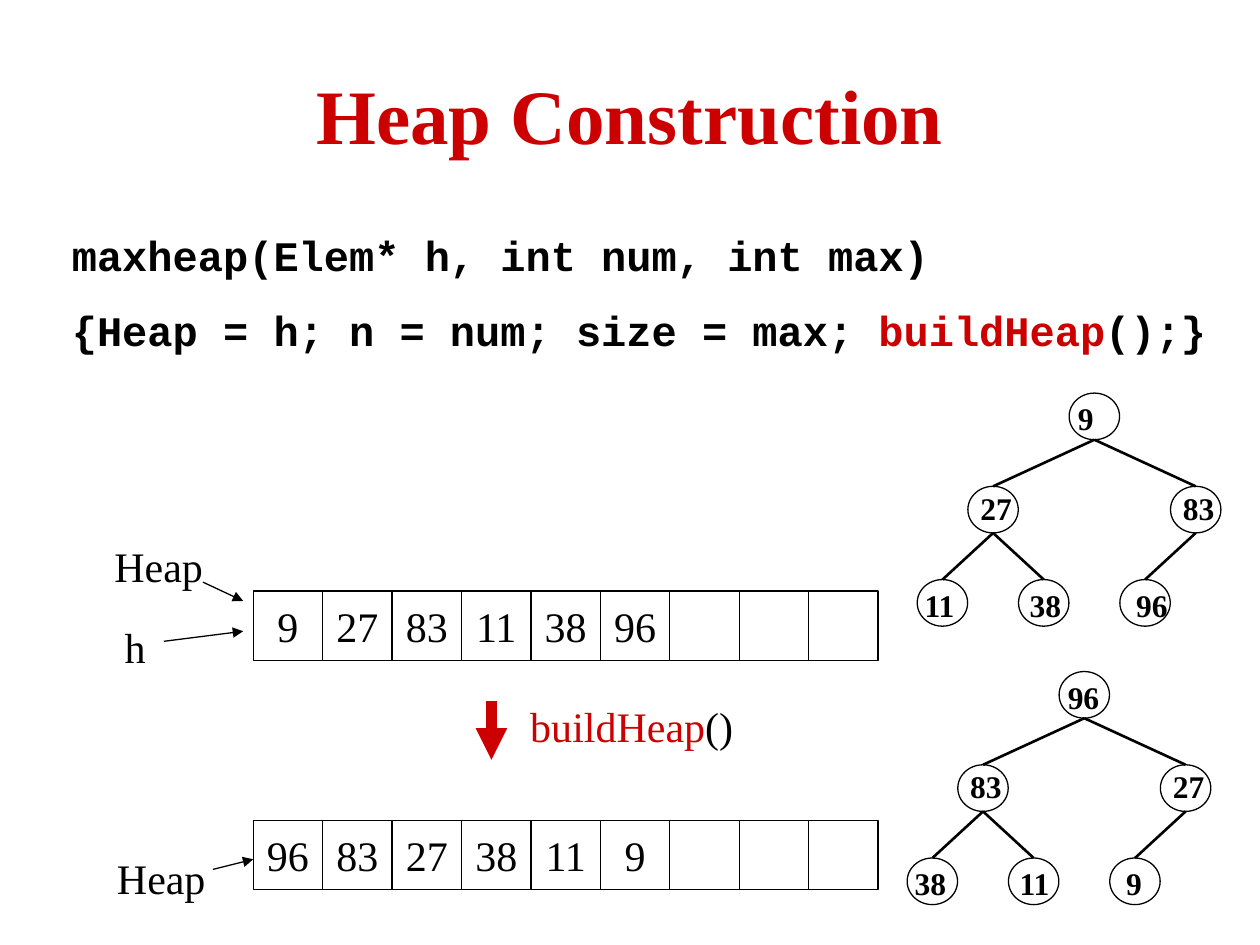
"""Build a slide showing how buildHeap turns an array into a max heap."""
import pptx
import pptx.dml.color
import pptx.enum.shapes
import pptx.enum.text
import pptx.oxml
import pptx.oxml.ns
import pptx.util

RED = pptx.dml.color.RGBColor(0xCC, 0x00, 0x00)
BLACK = pptx.dml.color.RGBColor(0x00, 0x00, 0x00)
WHITE = pptx.dml.color.RGBColor(0xFF, 0xFF, 0xFF)
SERIF, MONO = "Times New Roman", "Courier New"

TITLE = [[("Heap Construction", RED)]]
CODE = [
    [("maxheap(Elem* h, int num, int max)", BLACK)],
    [("{Heap = h; n = num; size = max; ", BLACK), ("buildHeap", RED), ("();}", BLACK)],
]
LABELS = [
    ([("h", BLACK)], (0.89, 4.88, 0.36, 0.5)),
    ([("Heap", BLACK)], (0.81, 4.24, 0.9, 0.5)),
    ([("Heap", BLACK)], (0.83, 6.72, 0.9, 0.5)),
    ([("buildHeap", RED), ("()", BLACK)], (4.11, 5.51, 1.81, 0.5)),
]
ARROWS = [
    ((1.3, 5.09), (1.93, 5.01), BLACK, 0.75),
    ((1.61, 4.62), (1.93, 4.77), BLACK, 0.75),
    ((1.69, 6.9), (2.01, 6.82), BLACK, 0.75),
    ((3.9, 5.56), (3.9, 6.03), RED, 6),
]
HEAPS = [
    {"values": [9, 27, 83, 11, 38, 96], "array_top": 4.69, "tree": (7.28, 3.12)},
    {"values": [96, 83, 27, 38, 11, 9], "array_top": 6.51, "tree": (7.2, 5.33)},
]

ARRAY_LEFT, ARRAY_WIDTH, CELLS = 2.01, 4.96, 9
NODE_WIDTH, NODE_HEIGHT, TREE_SPAN = 0.4, 0.37, 2.01
NODE_GRID = [(3, 0), (1, 1), (5, 1), (0, 2), (2, 2), (4, 2)]
NUMBER_SHIFTS = [(-0.03, 0), (0, -0.03), (0, -0.03), (-0.04, 0), (-0.01, 0), (0.03, 0)]

deck = pptx.Presentation()
deck.slide_width, deck.slide_height = pptx.util.Inches(10), pptx.util.Inches(7.5)
page = deck.slides.add_slide(deck.slide_layouts[6])


def inches(lengths):
    return [pptx.util.Inches(length) for length in lengths]


def write(shape, lines, size, font=SERIF, bold=False, align="LEFT", anchor="TOP",
          wrap=False, gap=0):
    frame = shape.text_frame
    frame.word_wrap = wrap
    frame.vertical_anchor = getattr(pptx.enum.text.MSO_ANCHOR, anchor)
    for index, spans in enumerate(lines):
        para = frame.add_paragraph() if index else frame.paragraphs[0]
        para.alignment = getattr(pptx.enum.text.PP_ALIGN, align)
        para.space_before = pptx.util.Pt(gap if index else 0)
        for text, colour in spans:
            span = para.add_run()
            span.text = text
            style = {"name": font, "size": pptx.util.Pt(size), "bold": bold}
            for key, value in style.items():
                setattr(span.font, key, value)
            span.font.color.rgb = colour


def add_text(place, lines, size, **style):
    box = page.shapes.add_textbox(*inches(place))
    write(box, lines, size, **style)
    return box


def add_outline(kind, place, fill=None):
    shape = page.shapes.add_shape(
        getattr(pptx.enum.shapes.MSO_SHAPE, kind), *inches(place))
    shape.shadow.inherit = False
    if fill is None:
        shape.fill.background()
    else:
        shape.fill.solid()
        shape.fill.fore_color.rgb = fill
    shape.line.color.rgb = BLACK
    shape.line.width = pptx.util.Pt(0.75)
    return shape


def add_line(start, end, colour, width, arrow=False):
    line = page.shapes.add_connector(
        pptx.enum.shapes.MSO_CONNECTOR.STRAIGHT, *inches(start + end))
    line.line.color.rgb = colour
    line.line.width = pptx.util.Pt(width)
    if arrow:
        head = pptx.oxml.parse_xml(
            f'<a:tailEnd {pptx.oxml.ns.nsdecls("a")} type="triangle"/>')
        line.line._get_or_add_ln().append(head)
    line._element.spPr.append(
        pptx.oxml.parse_xml(f'<a:effectLst {pptx.oxml.ns.nsdecls("a")}/>'))


def add_array(values, top):
    side = ARRAY_WIDTH / CELLS
    for column in range(CELLS):
        cell = add_outline("RECTANGLE", (ARRAY_LEFT + column * side, top, side, side))
        if column < len(values):
            write(cell, [[(str(values[column]), BLACK)]], 24,
                  align="CENTER", anchor="MIDDLE")


def add_tree(values, left, top):
    spots = [(left + column * TREE_SPAN / 5, top + row * 2 * NODE_HEIGHT)
             for column, row in NODE_GRID]
    for x, y in spots:
        add_outline("OVAL", (x, y, NODE_WIDTH, NODE_HEIGHT), WHITE)
    for child in range(1, len(spots)):
        parent_x, parent_y = spots[(child - 1) // 2]
        x, y = spots[child]
        add_line((parent_x + NODE_WIDTH / 2, parent_y + NODE_HEIGHT),
                 (x + NODE_WIDTH / 2, y), BLACK, 1.5)
    for value, (x, y), (across, down) in zip(values, spots, NUMBER_SHIFTS):
        add_text((x + across, y + down, 0.51, 0.4), [[(str(value), BLACK)]], 18,
                 bold=True, anchor="MIDDLE")


add_text((0.5, 0.4, 9, 1), TITLE, 44, bold=True, align="CENTER",
         anchor="MIDDLE", wrap=True)
code_box = add_text((0.27, 1.39, 9.42, 1.5), CODE, 24, font=MONO, bold=True,
                    wrap=True, gap=14)
margins = {"margin_left": 0.3, "margin_top": 0.43, "margin_right": 0}
for side_name, margin in margins.items():
    setattr(code_box.text_frame, side_name, pptx.util.Inches(margin))
for heap in HEAPS:
    add_array(heap["values"], heap["array_top"])
    add_tree(heap["values"], *heap["tree"])
for spans, place in LABELS:
    add_text(place, [spans], 24)
for start, end, colour, width in ARROWS:
    add_line(start, end, colour, width, arrow=True)
deck.save("out.pptx")
